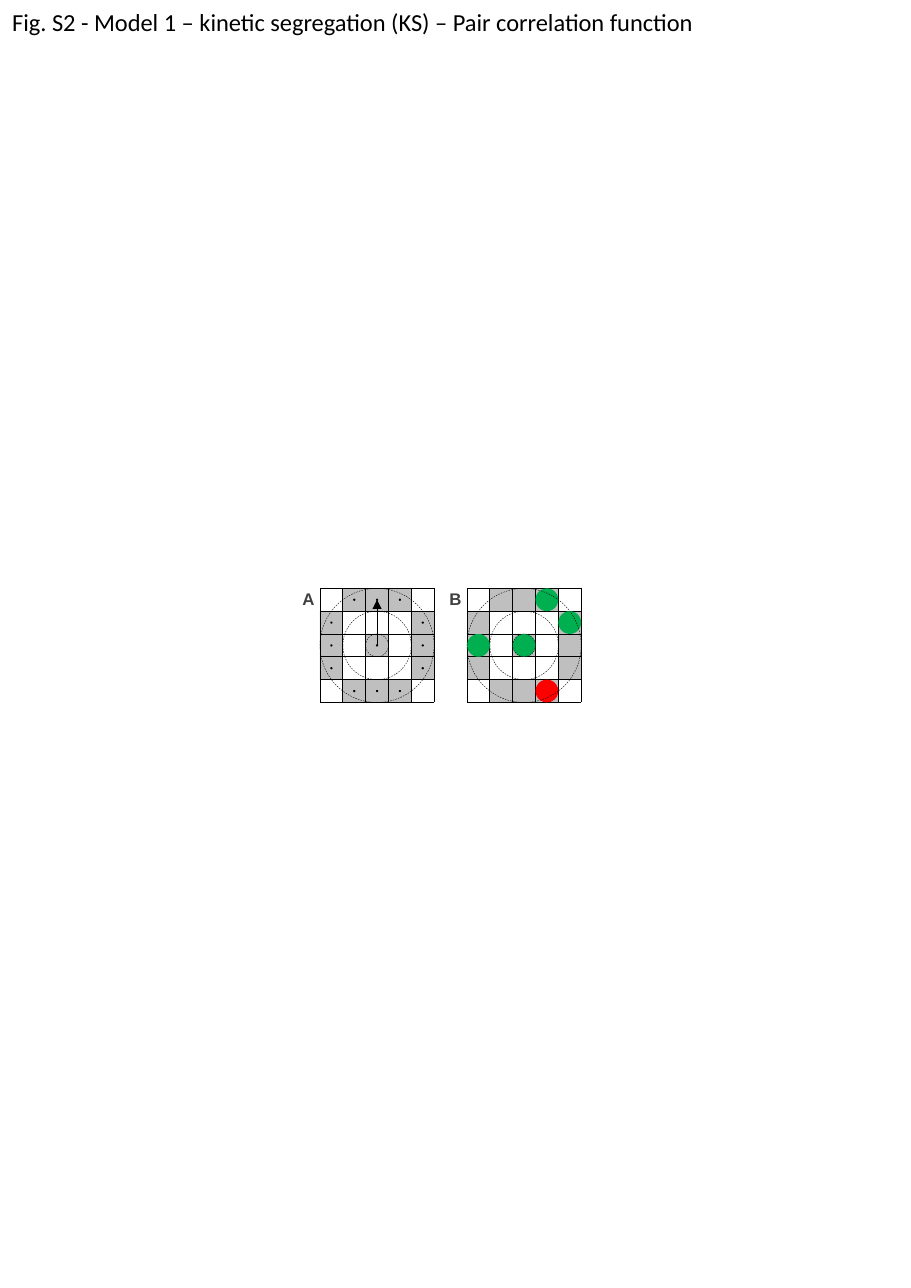
from pptx import Presentation
from pptx.util import Inches, Pt
from pptx.dml.color import RGBColor
from pptx.enum.dml import MSO_LINE
from pptx.enum.shapes import MSO_CONNECTOR, MSO_SHAPE as Kind
from pptx.enum.text import MSO_ANCHOR, MSO_AUTO_SIZE, PP_ALIGN
from pptx.oxml.ns import qn
from lxml import etree

# Content: cells are (column, row) on a 5 by 5 grid
TITLE = "Fig. S2 - Model 1 – kinetic segregation (KS) – Pair correlation function"
HEX = {"grey": "BFBFBF", "green": "00B050", "red": "FF0000",
       "black": "000000", "label": "404040"}
BANDS = [(2, 2, 1, 1), (4, 1, 1, 3), (0, 1, 1, 3), (1, 0, 3, 1), (1, 4, 3, 1)]
SHELL = [(x, y) for bx, by, w, h in BANDS
         for x in range(bx, bx + w) for y in range(by, by + h)]
PANELS = [
    {"name": "B", "left": 4.24, "dots": [], "arrow": False,
     "discs": [(2, 2, "green"), (3, 0, "green"), (0, 2, "green"),
               (4, 1, "green"), (3, 4, "red")]},
    {"name": "A", "left": 2.905, "dots": SHELL, "arrow": True, "discs": []},
]
TOP, SIDE, COUNT = 5.34, 1.036, 5
CELL, DOT = SIDE / COUNT, 0.02

deck = Presentation()
deck.slide_width, deck.slide_height = Inches(8.27), Inches(11.69)
slide = deck.slides.add_slide(deck.slide_layouts[5])
shapes = slide.shapes


def color(name):
    return RGBColor.from_string(HEX[name])


def draw(kind, x, y, w, h, fill=None):
    """Add a filled shape, or a dashed ring when there is no fill."""
    item = shapes.add_shape(kind, *map(Inches, (x, y, w, h)))
    item.shadow.inherit = False
    if fill:
        item.fill.solid()
        item.fill.fore_color.rgb = color(fill)
        item.line.fill.background()
    else:
        item.fill.background()
        item.line.color.rgb = color("black")
        item.line.width = Pt(0.25)
        item.line.dash_style = MSO_LINE.DASH


def rule(x1, y1, x2, y2, arrow=False):
    item = shapes.add_connector(MSO_CONNECTOR.STRAIGHT,
                                *map(Inches, (x1, y1, x2, y2)))
    item.line.color.rgb = color("black")
    item.line.width = Pt(0.5)
    if arrow:
        tail = etree.SubElement(item.line._get_or_add_ln(), qn("a:tailEnd"))
        tail.set("type", "triangle")
    etree.SubElement(item._element.spPr, qn("a:effectLst"))


def write(box, text, font, size, tint, align, bold=False):
    frame = box.text_frame
    frame.text = text
    frame.auto_size = MSO_AUTO_SIZE.NONE
    frame.word_wrap = False
    frame.vertical_anchor = MSO_ANCHOR.TOP
    para = frame.paragraphs[0]
    para.alignment = align
    face = para.runs[0].font
    face.name, face.size, face.bold = font, Pt(size), bold
    face.color.rgb = color(tint)


def ring(left, span):
    gap = (COUNT - span) / 2 * CELL
    draw(Kind.OVAL, left + gap, TOP + gap, span * CELL, span * CELL)


def panel(name, left, dots, arrow, discs):
    # Shaded cells
    for x, y, w, h in BANDS:
        draw(Kind.RECTANGLE, left + x * CELL, TOP + y * CELL,
             w * CELL, h * CELL, "grey")
    # Grid
    for i in range(COUNT + 1):
        step = i * CELL
        rule(left + step, TOP, left + step, TOP + SIDE)
        rule(left, TOP + step, left + SIDE, TOP + step)
    # Rings and particles
    ring(left, 3)
    for x, y, tint in discs:
        draw(Kind.OVAL, left + x * CELL, TOP + y * CELL, CELL, CELL, tint)
    ring(left, 1)
    ring(left, 5)
    # Radius arrow and cell centres
    if arrow:
        mid = left + SIDE / 2
        rule(mid, TOP + SIDE / 2, mid, TOP + CELL / 2, True)
    for x, y in dots:
        draw(Kind.OVAL, left + (x + 0.5) * CELL - DOT / 2,
             TOP + (y + 0.5) * CELL - DOT / 2, DOT, DOT, "black")
    # Panel letter
    box = shapes.add_textbox(*map(Inches, (left - 0.23, TOP - 0.05, 0.25, 0.29)))
    write(box, name, "Arial", 11, "label", PP_ALIGN.CENTER, True)


# Title
head = shapes.title
head.left, head.top, head.width, head.height = map(
    Inches, (0.01, 0.01, 6.47, 0.37))
write(head, TITLE, "Calibri", 16, "black", PP_ALIGN.LEFT)

# Panels
for part in PANELS:
    panel(**part)

deck.save("out.pptx")
